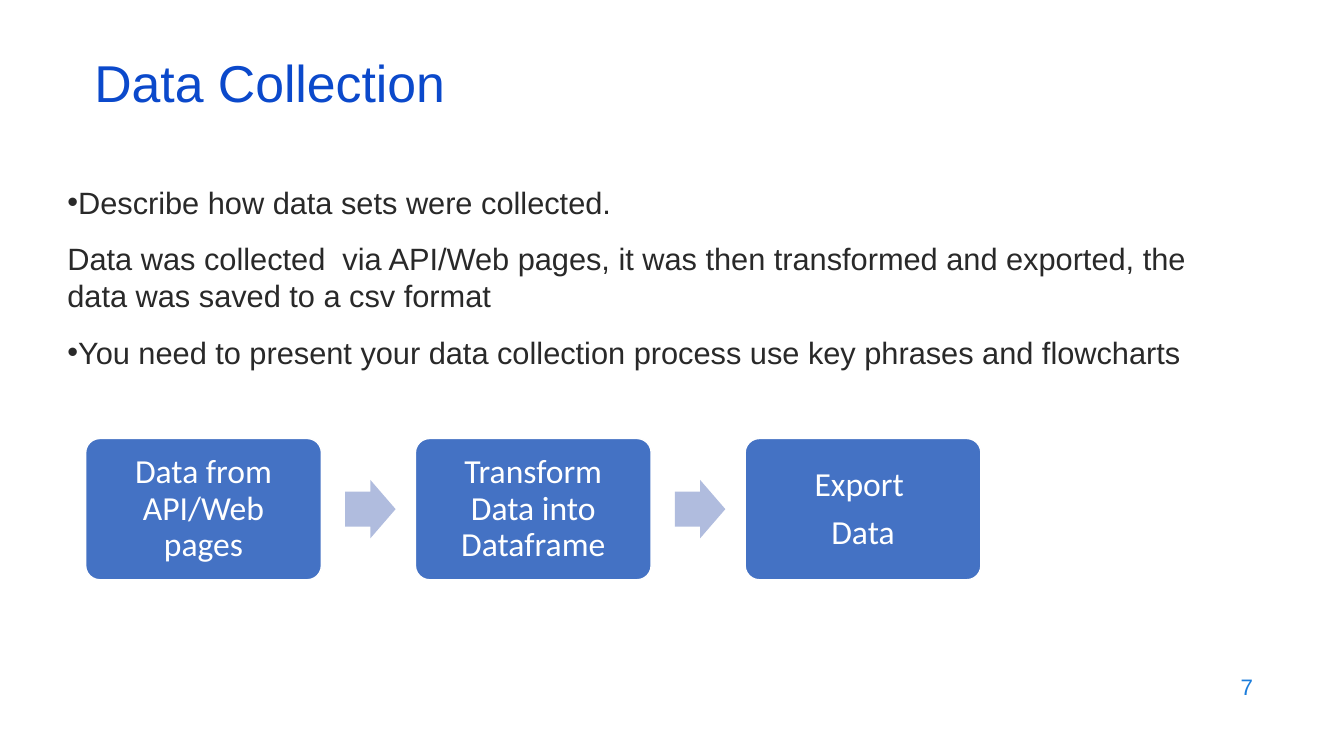
from dataclasses import dataclass

from lxml import etree
from pptx import Presentation
from pptx import util as u
from pptx.dml.color import RGBColor
from pptx.enum import shapes, text
from pptx.oxml import ns


@dataclass(frozen=True)
class Theme:
    heading_font: str = "Arial"
    card_font: str = "Calibri"
    title: str = "0B49CB"
    body: str = "292929"
    number: str = "1C7DDB"
    card: str = "4472C4"
    arrow: str = "B0BCDE"
    white: str = "FFFFFF"
    title_size: int = 37
    body_size: int = 22
    card_size: int = 24
    number_size: int = 16


THEME = Theme()


def add_span(para, words, font, size, colour):
    span = para.add_run()
    span.text = words
    span.font.name = font
    span.font.size = u.Pt(size)
    span.font.color.rgb = RGBColor.from_string(colour)


def add_text_box(page, left, top, width, height, anchor):
    box = page.shapes.add_textbox(u.Cm(left), u.Cm(top), u.Cm(width), u.Cm(height))
    frame = box.text_frame
    frame.word_wrap = True
    frame.vertical_anchor = anchor
    return frame


def add_filled_shape(page, kind, left, top, width, height, colour):
    shape = page.shapes.add_shape(kind, u.Cm(left), u.Cm(top), u.Cm(width), u.Cm(height))
    shape.shadow.inherit = False
    shape.fill.solid()
    shape.fill.fore_color.rgb = RGBColor.from_string(colour)
    shape.line.fill.background()
    return shape


def next_para(frame, index):
    return frame.add_paragraph() if index else frame.paragraphs[0]


def add_bullet(para):
    properties = para._p.get_or_add_pPr()
    properties.set("marL", "0")
    properties.set("indent", "0")
    etree.SubElement(properties, ns.qn("a:buFont")).set("typeface", THEME.heading_font)
    etree.SubElement(properties, ns.qn("a:buChar")).set("char", "•")


def draw_title(page, left, top, width, height, words):
    frame = add_text_box(page, left, top, width, height, text.MSO_ANCHOR.MIDDLE)
    para = frame.paragraphs[0]
    para.line_spacing = 0.7
    add_span(para, words, THEME.heading_font, THEME.title_size, THEME.title)


def draw_body(page, left, top, width, height, entries):
    frame = add_text_box(page, left, top, width, height, text.MSO_ANCHOR.TOP)
    for index, (words, bulleted) in enumerate(entries):
        para = next_para(frame, index)
        if index:
            para.space_before = u.Pt(14)
        if bulleted:
            add_bullet(para)
        add_span(para, words, THEME.heading_font, THEME.body_size, THEME.body)


def draw_card(page, left, top, width, height, lines):
    card = add_filled_shape(page, shapes.MSO_SHAPE.ROUNDED_RECTANGLE,
                            left, top, width, height, THEME.card)
    card.adjustments[0] = 0.1
    card.line.color.rgb = RGBColor.from_string(THEME.white)
    card.line.width = u.Pt(1)
    frame = card.text_frame
    frame.word_wrap = True
    frame.vertical_anchor = text.MSO_ANCHOR.MIDDLE
    frame.margin_left = frame.margin_right = u.Cm(0.3)
    frame.margin_top = frame.margin_bottom = u.Cm(0.3)
    for index, words in enumerate(lines):
        para = next_para(frame, index)
        para.alignment = text.PP_ALIGN.CENTER
        para.line_spacing = 0.9
        if index:
            para.space_before = u.Pt(8.4)
        add_span(para, words, THEME.card_font, THEME.card_size, THEME.white)


def draw_flow(page, left, top, width, height, steps):
    gap = 2.37
    card_width = (width - gap * (len(steps) - 1)) / len(steps)
    arrow_width, arrow_height, arrow_offset = 1.27, 1.47, 0.6
    for index, lines in enumerate(steps):
        card_left = left + index * (card_width + gap)
        draw_card(page, card_left, top, card_width, height, lines)
        if index < len(steps) - 1:
            arrow = add_filled_shape(page, shapes.MSO_SHAPE.RIGHT_ARROW,
                                     card_left + card_width + arrow_offset,
                                     top + (height - arrow_height) / 2,
                                     arrow_width, arrow_height, THEME.arrow)
            arrow.adjustments[0] = 0.6
            arrow.adjustments[1] = 0.5


def draw_page_number(page, left, top, width, height, number):
    frame = add_text_box(page, left, top, width, height, text.MSO_ANCHOR.MIDDLE)
    para = frame.paragraphs[0]
    para.alignment = text.PP_ALIGN.RIGHT
    add_span(para, number, THEME.heading_font, THEME.number_size, THEME.number)


def main():
    deck = Presentation()
    deck.slide_width, deck.slide_height = u.Cm(33.87), u.Cm(19.05)
    page = deck.slides.add_slide(deck.slide_layouts[6])
    draw_title(page, 2.13, 1.5, 29.21, 1.52, "Data Collection")
    draw_body(page, 1.45, 4.5, 29.21, 6, [
        ("Describe how data sets were collected.", True),
        ("Data was collected  via API/Web pages, it was then transformed and "
         "exported, the data was saved to a csv format", False),
        ("You need to present your data collection process use key phrases "
         "and flowcharts", True),
    ])
    draw_flow(page, 2.16, 11.05, 22.56, 3.56, [
        ["Data from API/Web pages"],
        ["Transform Data into Dataframe"],
        ["Export ", "Data"],
    ])
    draw_page_number(page, 24.21, 16.74, 7.62, 1.12, "7")
    deck.save("out.pptx")


if __name__ == "__main__":
    main()
